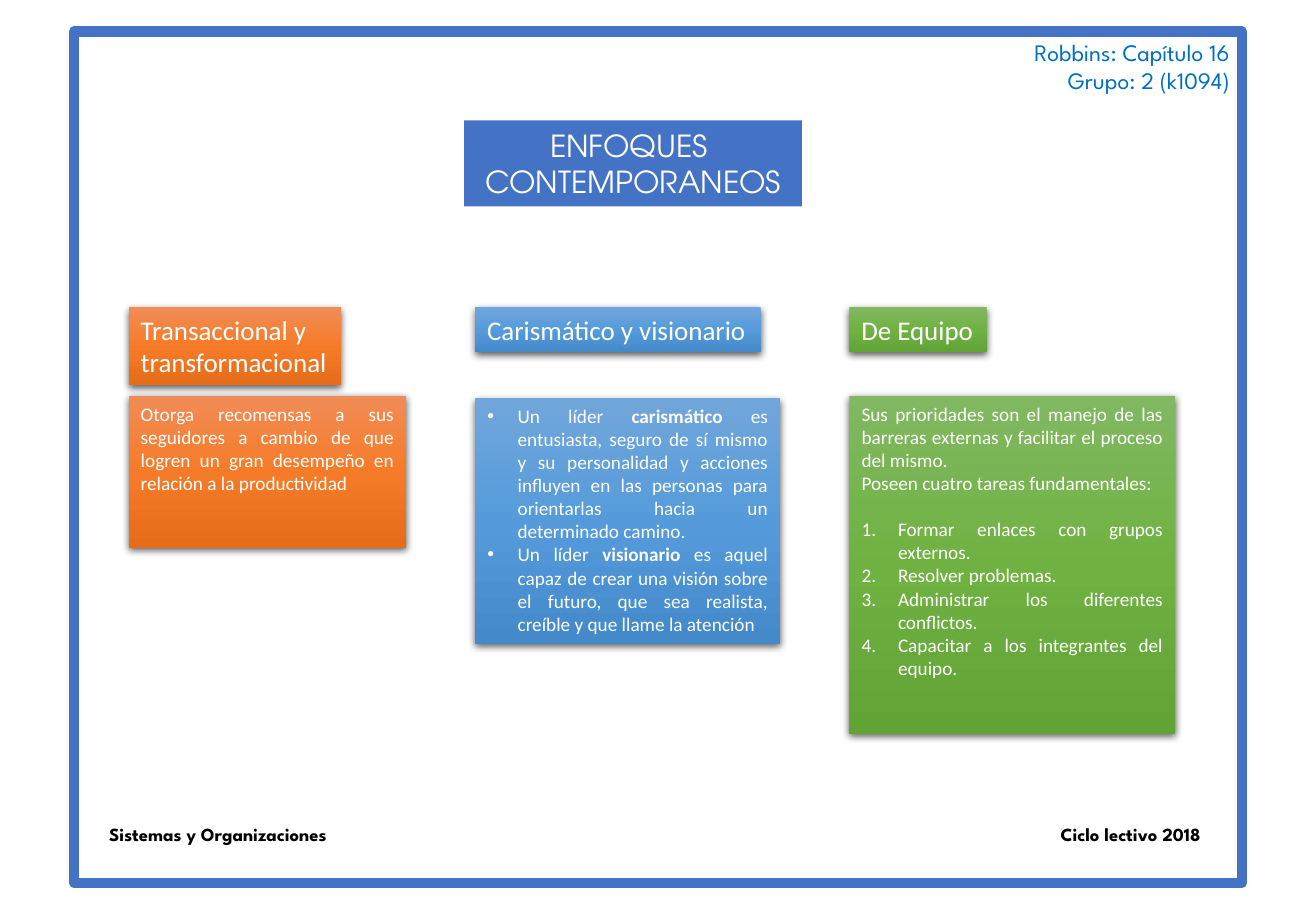
from lxml import etree
from pptx import Presentation
from pptx.dml.color import RGBColor
from pptx.enum.shapes import MSO_SHAPE
from pptx.enum.text import MSO_ANCHOR, MSO_AUTO_SIZE, PP_ALIGN
from pptx.oxml.ns import qn
from pptx.util import Inches, Pt

RECTANGLE = MSO_SHAPE.RECTANGLE
TOP, MIDDLE = MSO_ANCHOR.TOP, MSO_ANCHOR.MIDDLE
NO_AUTOFIT = MSO_AUTO_SIZE.NONE
LEFT, CENTER, RIGHT, JUSTIFY = PP_ALIGN.LEFT, PP_ALIGN.CENTER, PP_ALIGN.RIGHT, PP_ALIGN.JUSTIFY

COLORS = {"blue": "4472C4", "group": "0070C0", "black": "000000", "white": "FFFFFF"}
GRADIENTS = {
    "orange": ("F18C57", "F67B28", "E56C19"),
    "sky": ("71A6DB", "559BDB", "448ACA"),
    "green": ("81B861", "6FB242", "62A336"),
}
BODY_FONT, HEADER_FONT, TITLE_FONT = "Calibri", "League Spartan", "TeX Gyre Adventor"
HEADING_SIZE, BODY_SIZE, LINE_HEIGHT = 16, 11.4, 13.9
HEADING_TOP = 2.53
BULLET_INDENT, NUMBER_INDENT = 0.25, 0.3


def rgb(name):
    return RGBColor.from_string(COLORS[name])


def add_element(parent, tag, **attributes):
    return etree.SubElement(parent, qn(tag), {key: str(value) for key, value in attributes.items()})


def place(shape, box):
    shape.left, shape.top, shape.width, shape.height = (Inches(length) for length in box)


def set_list_marker(paragraph, marker):
    """Sets the indent and a bullet, a number or no marker."""
    indent = {"bullet": BULLET_INDENT, "number": NUMBER_INDENT}.get(marker, 0)
    properties = paragraph._p.get_or_add_pPr()
    properties.set("marL", str(Inches(indent)))
    properties.set("indent", str(-Inches(indent)))
    if marker == "bullet":
        add_element(properties, "a:buFont", typeface="Arial")
        add_element(properties, "a:buChar", char="•")
    elif marker == "number":
        add_element(properties, "a:buFont", typeface="+mj-lt")
        add_element(properties, "a:buAutoNum", type="arabicPeriod")
    else:
        add_element(properties, "a:buNone")


def write_text(shape, items, font, size, color, align=LEFT, anchor=TOP, wrap=True, bold=False):
    """Writes (marker, runs, space before) items; every second run is bold."""
    frame = shape.text_frame
    frame.word_wrap, frame.auto_size, frame.vertical_anchor = wrap, NO_AUTOFIT, anchor
    for index, (marker, runs, space_before) in enumerate(items):
        paragraph = frame.paragraphs[0] if index == 0 else frame.add_paragraph()
        set_list_marker(paragraph, marker)
        paragraph.alignment = align
        paragraph.space_before = Pt(space_before)
        paragraph.font.name, paragraph.font.size = font, Pt(size)
        paragraph.font.color.rgb = rgb(color)
        paragraph.font.bold = bold
        for position, text in enumerate(runs):
            run = paragraph.add_run()
            run.text = text
            if position % 2:
                run.font.bold = True


def plain(*lines):
    return [(None, [line], 0) for line in lines]


def style_card(shape, gradient):
    """Vertical three-stop gradient with a soft shadow below."""
    shape.fill.gradient()
    shape.fill.gradient_angle = 270
    stops = shape._element.spPr.find(qn("a:gradFill")).find(qn("a:gsLst"))
    for stop in list(stops):
        stops.remove(stop)
    for index, color in enumerate(GRADIENTS[gradient]):
        stop = add_element(stops, "a:gs", pos=index * 50000)
        add_element(stop, "a:srgbClr", val=color)
    shape.line.fill.background()
    shape.shadow.inherit = False
    effects = shape._element.spPr.find(qn("a:effectLst"))
    shadow = add_element(effects, "a:outerShdw", blurRad=Pt(4.5), dist=Pt(1.5),
                         dir=5400000, algn="ctr", rotWithShape=0)
    shadow_color = add_element(shadow, "a:srgbClr", val=COLORS["black"])
    add_element(shadow_color, "a:alpha", val=63000)


def add_rectangle(slide, box):
    return slide.shapes.add_shape(RECTANGLE, *(Inches(length) for length in box))


def add_label(slide, box, lines, size, color, align=LEFT, bold=False):
    label = slide.shapes.add_textbox(*(Inches(length) for length in box))
    write_text(label, plain(*lines), HEADER_FONT, size, color, align, bold=bold)


def build_frame(slide, box):
    """Page border with the header and footer labels in its corners."""
    left, top, width, height = box
    border = add_rectangle(slide, box)
    border.fill.background()
    border.line.color.rgb = rgb("blue")
    border.line.width = Pt(6)
    border.shadow.inherit = False
    right, footer_top = left + width, top + height - 0.54
    add_label(slide, (right - 2.59, top, 2.59, 0.57),
              ["Robbins: Capítulo 16", "Grupo: 2 (k1094)"], 14, "group", RIGHT)
    add_label(slide, (left + 0.19, footer_top, 2.2, 0.28),
              ["Sistemas y Organizaciones"], 11, "black", bold=True)
    add_label(slide, (right - 1.59, footer_top, 1.52, 0.28),
              ["Ciclo lectivo 2018"], 11, "black", bold=True)


def build_title(title, box):
    place(title, box)
    title.fill.solid()
    title.fill.fore_color.rgb = rgb("blue")
    write_text(title, plain("ENFOQUES ", "CONTEMPORANEOS"), TITLE_FONT, 18, "white",
               CENTER, MIDDLE, wrap=False)


def build_column(slide, box, gradient, heading_size, heading_lines, items, panel=None):
    """Heading card and a text panel; box is the panel's place."""
    heading = add_rectangle(slide, (box[0], HEADING_TOP, *heading_size))
    style_card(heading, gradient)
    write_text(heading, plain(*heading_lines), BODY_FONT, HEADING_SIZE, "white", wrap=False)
    panel = panel or add_rectangle(slide, box)
    place(panel, box)
    style_card(panel, gradient)
    write_text(panel, items, BODY_FONT, BODY_SIZE, "white", JUSTIFY)


def main():
    presentation = Presentation()
    presentation.slide_width, presentation.slide_height = Inches(10.83), Inches(7.5)
    slide = presentation.slides.add_slide(presentation.slide_layouts[3])
    title, leader_list, team_list = slide.placeholders

    build_frame(slide, (0.61, 0.26, 9.61, 7.01))
    build_title(title, (3.82, 0.99, 2.78, 0.71))

    # Transactional and transformational leadership
    build_column(slide, (1.06, 3.26, 2.28, 1.25), "orange", (1.75, 0.64),
                 ["Transaccional y", "transformacional"],
                 plain("Otorga recomensas a sus seguidores a cambio de que logren un gran "
                       "desempeño en relación a la productividad"))

    # Charismatic and visionary leadership
    leaders = [
        ("bullet", ["Un líder ", "carismático",
                    " es entusiasta, seguro de sí mismo y su personalidad y acciones influyen "
                    "en las personas para orientarlas hacia un determinado camino."], 0),
        ("bullet", ["Un líder ", "visionario",
                    " es aquel capaz de crear una visión sobre el futuro, que sea realista, "
                    "creíble y que llame la atención"], 0),
    ]
    build_column(slide, (3.91, 3.28, 2.51, 2.02), "sky", (2.35, 0.37),
                 ["Carismático y visionario"], leaders, leader_list)

    # Team leadership
    tasks = ["Formar enlaces con grupos externos.", "Resolver problemas.",
             "Administrar los diferentes conflictos.", "Capacitar a los integrantes del equipo."]
    team = plain("Sus prioridades son el manejo de las barreras externas y facilitar el "
                 "proceso del mismo.", "Poseen cuatro tareas fundamentales:")
    team += [("number", [task], 0 if index else LINE_HEIGHT) for index, task in enumerate(tasks)]
    build_column(slide, (6.99, 3.26, 2.68, 2.78), "green", (1.13, 0.37),
                 ["De Equipo"], team, team_list)

    presentation.save("out.pptx")


if __name__ == "__main__":
    main()
